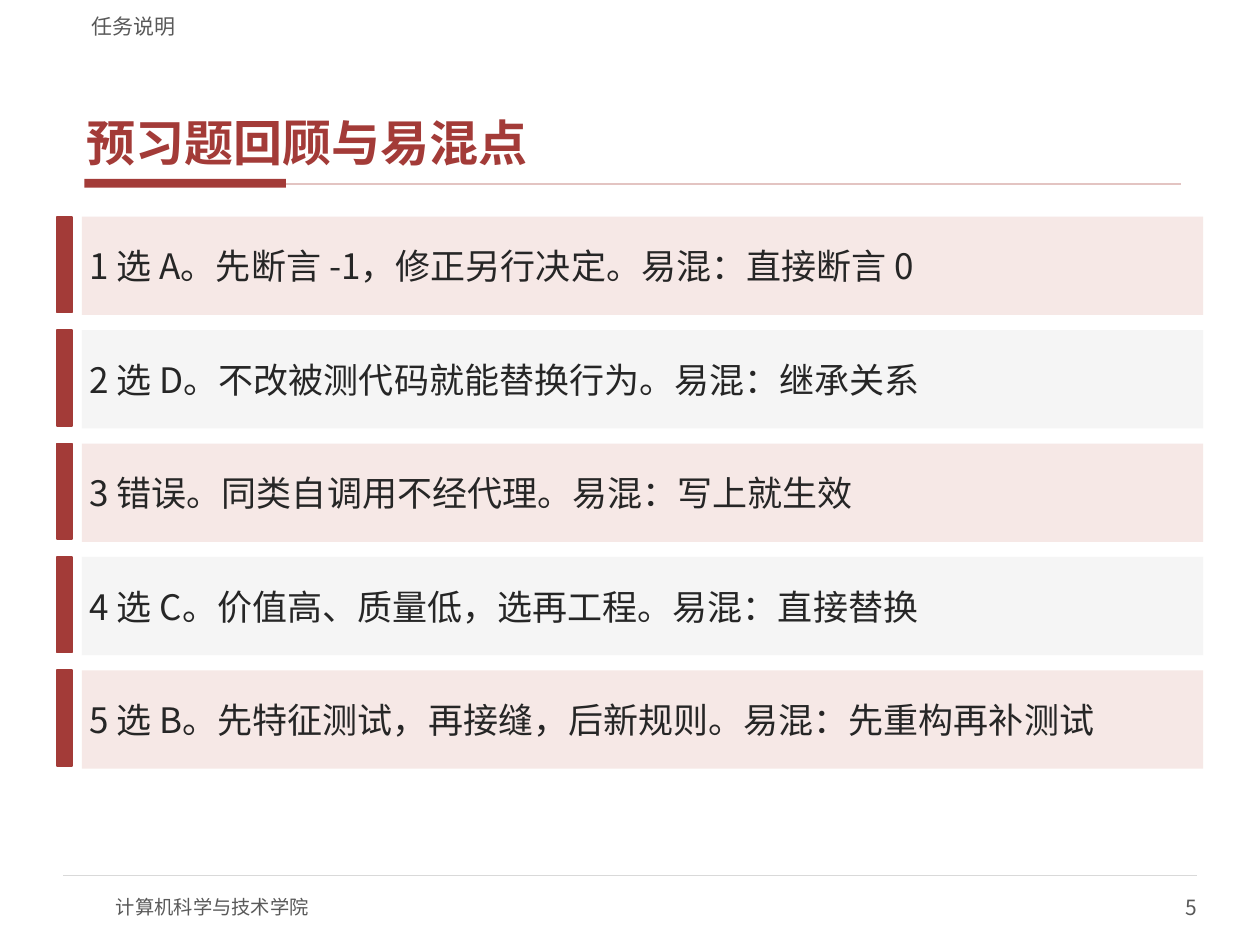
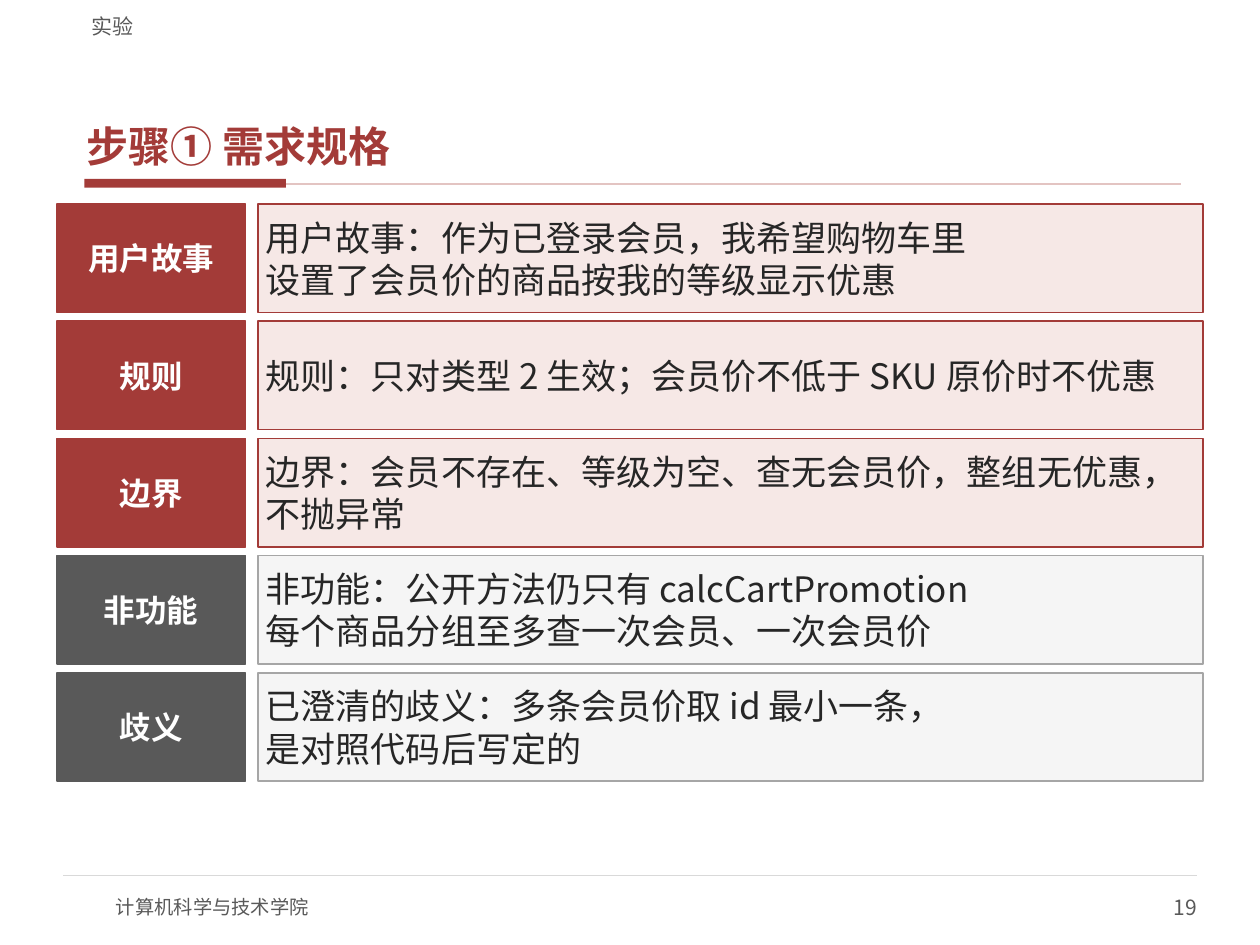
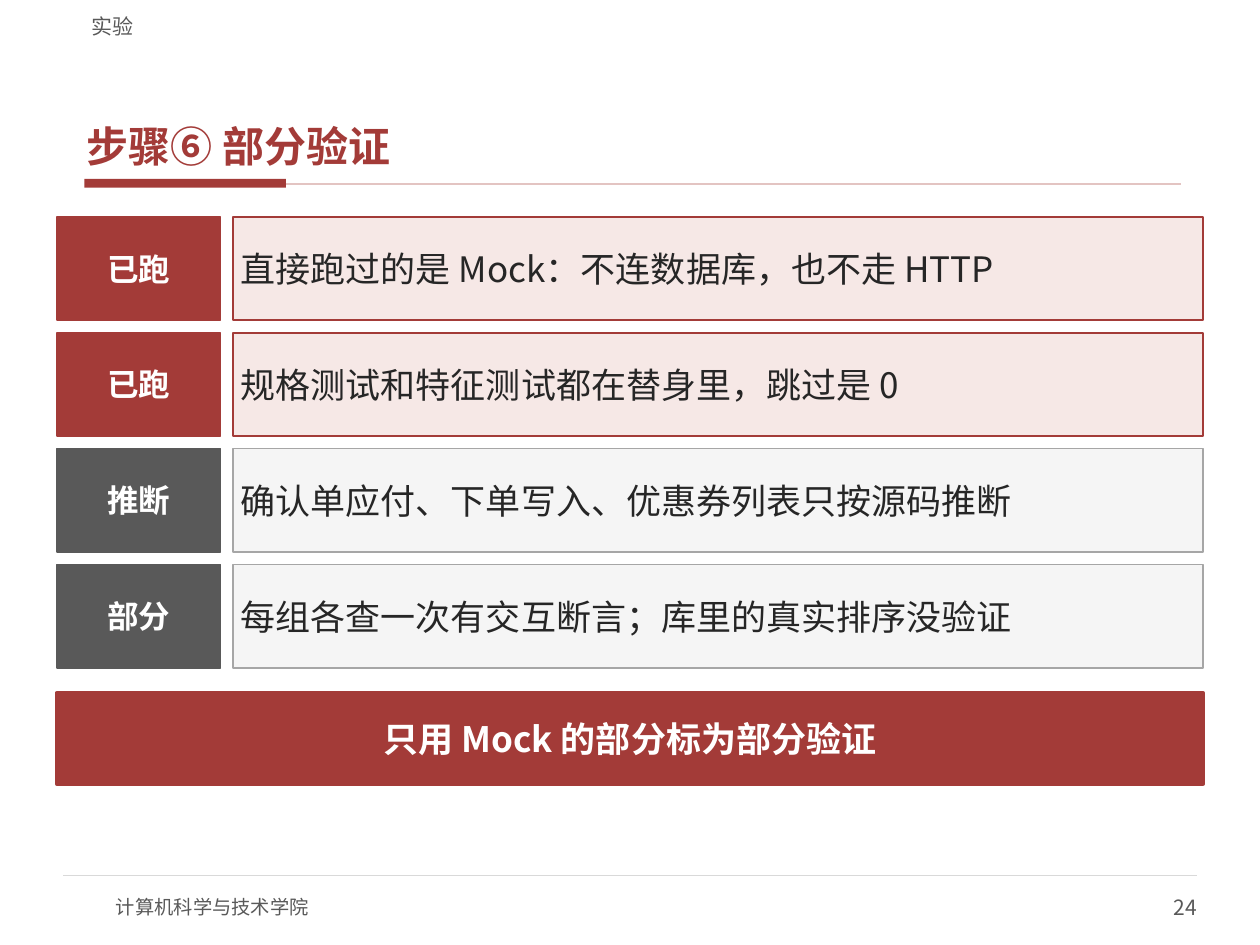
from lxml.etree import SubElement
from pptx import Presentation
from pptx.dml.color import RGBColor
from pptx.enum.shapes import MSO_CONNECTOR as Link, MSO_SHAPE as Shape
from pptx.enum.text import MSO_ANCHOR as Anchor, MSO_AUTO_SIZE as Auto, PP_ALIGN as Align
from pptx.oxml.ns import qn
from pptx.util import Inches, Pt

FACE = "Noto Sans CJK SC"
RED, ROSE, PINK = "A33B38", "F6E8E6", "E3C4C2"
GRAY, PALE, EDGE, RULE = "595959", "F5F5F5", "A6A6A6", "D9D9D9"
INK, WHITE = "262626", "FFFFFF"

WIDE, TALL = 10, 7.5
LEFT, RIGHT = 0.45, 9.55
HEAD_X, HEAD_W = 0.63, 8.75
GAP = 0.1
BODY_PAD, TAG_PAD = (0.06, 0.03), (0.08, 0.04)
# label fill, body fill, body edge
HOT, COOL = (RED, ROSE, RED), (GRAY, PALE, EDGE)


def tone(code):
    return RGBColor.from_string(code)


def write(shape, text, size, color, bold=False, align=Align.LEFT,
          anchor=Anchor.MIDDLE, pad=(0, 0)):
    """Fill a shape with text: \\n starts a paragraph, \\v breaks a line."""
    frame = shape.text_frame
    frame.word_wrap = True
    frame.auto_size = Auto.NONE
    frame.vertical_anchor = anchor
    frame.margin_left = frame.margin_right = Inches(pad[0])
    frame.margin_top = frame.margin_bottom = Inches(pad[1])
    frame.text = text
    for para in frame.paragraphs:
        para.alignment = align
        font = para.font
        font.name, font.size, font.bold = FACE, Pt(size), bold
        font.color.rgb = tone(color)
        props = para._p.pPr.find(qn("a:defRPr"))
        SubElement(props, qn("a:ea"), typeface=FACE)


def block(slide, x, y, w, h, fill, edge=None, weight=1):
    shape = slide.shapes.add_shape(Shape.RECTANGLE, *map(Inches, (x, y, w, h)))
    shape.shadow.inherit = False
    shape.fill.solid()
    shape.fill.fore_color.rgb = tone(fill)
    if edge:
        shape.line.color.rgb = tone(edge)
        shape.line.width = Pt(weight)
    else:
        shape.line.fill.background()
    return shape


def label(slide, x, y, w, h, text, size, **style):
    box = slide.shapes.add_textbox(*map(Inches, (x, y, w, h)))
    write(box, text, size, GRAY, **style)


def rule(slide, x, y, end, color, weight):
    line = slide.shapes.add_connector(Link.STRAIGHT, *map(Inches, (x, y, end, y)))
    line.line.color.rgb = tone(color)
    line.line.width = Pt(weight)
    SubElement(line._element.spPr, qn("a:effectLst"))


def page(deck, part, title, number, size=24):
    """Add a slide with its section name, title, title rule and footer."""
    slide = deck.slides.add_slide(deck.slide_layouts[5])
    block(slide, 0.67, 1.42, 1.6, 0.07, RED)
    rule(slide, 2.27, 1.46, 9.37, PINK, 1)
    rule(slide, 0.05 * WIDE, 6.95, 0.95 * WIDE, RULE, 0.75)
    label(slide, 0.92, 7, 4, 0.4, "计算机科学与技术学院", 11)
    label(slide, 7.5, 7, 2, 0.4, str(number), 12, align=Align.RIGHT)
    label(slide, HEAD_X, 0.04, HEAD_W, 0.27, part, 12,
          anchor=Anchor.BOTTOM, pad=(0.1, 0))

    head = slide.shapes.title
    head.left, head.top = Inches(HEAD_X), Inches(0.33)
    head.width, head.height = Inches(HEAD_W), Inches(1.05)
    write(head, title, size, RED, bold=True, anchor=Anchor.BOTTOM, pad=(0.06, 0.02))
    head.text_frame.paragraphs[0].space_after = Pt(2)
    return slide


def body(slide, x, y, h, text, fill, edge=None):
    shape = block(slide, x, y, RIGHT - x, h, fill, edge)
    write(shape, text, 20, INK, pad=BODY_PAD)


def tag(slide, y, w, h, text, fill, size=18, weight=1):
    shape = block(slide, LEFT, y, w, h, fill, fill, weight)
    write(shape, text, size, WHITE, bold=True, align=Align.CENTER, pad=TAG_PAD)


def stripes(slide, top, step, texts):
    """Stack full-width bands of alternating fill, each with a red bar."""
    for i, text in enumerate(texts):
        y = top + i * step
        block(slide, LEFT, y, 0.12, 0.76, RED, RED)
        body(slide, LEFT + 0.2, y, 0.78, text, (ROSE, PALE)[i % 2])


def pairs(slide, top, step, w, h, rows):
    """Stack rows of a coloured label beside its framed text."""
    for i, (name, text, (dark, light, edge)) in enumerate(rows):
        y = top + i * step
        tag(slide, y, w, h, name, dark)
        body(slide, LEFT + w + GAP, y, h, text, light, edge)


def main():
    deck = Presentation()
    deck.slide_width, deck.slide_height = Inches(WIDE), Inches(TALL)

    review = page(deck, "任务说明", "预习题回顾与易混点", 5, size=28)
    stripes(review, 1.72, 0.9, [
        "1 选 A。先断言 -1，修正另行决定。易混：直接断言 0",
        "2 选 D。不改被测代码就能替换行为。易混：继承关系",
        "3 错误。同类自调用不经代理。易混：写上就生效",
        "4 选 C。价值高、质量低，选再工程。易混：直接替换",
        "5 选 B。先特征测试，再接缝，后新规则。易混：先重构再补测试",
    ])

    needs = page(deck, "实验", "步骤① 需求规格", 19)
    pairs(needs, 1.62, 0.93, 1.5, 0.86, [
        ("用户故事", "用户故事：作为已登录会员，我希望购物车里\n"
                 "设置了会员价的商品按我的等级显示优惠", HOT),
        ("规则", "规则：只对类型 2 生效；会员价不低于 SKU 原价时不优惠", HOT),
        ("边界", "边界：会员不存在、等级为空、查无会员价，整组无优惠，不抛异常", HOT),
        ("非功能", "非功能：公开方法仍只有 calcCartPromotion\n"
                "每个商品分组至多查一次会员、一次会员价", COOL),
        ("歧义", "已澄清的歧义：多条会员价取 id 最小一条，\v是对照代码后写定的", COOL),
    ])

    check = page(deck, "实验", "步骤⑥ 部分验证", 24)
    pairs(check, 1.72, 0.92, 1.3, 0.82, [
        ("已跑", "直接跑过的是 Mock：不连数据库，也不走 HTTP", HOT),
        ("已跑", "规格测试和特征测试都在替身里，跳过是 0", HOT),
        ("推断", "确认单应付、下单写入、优惠券列表只按源码推断", COOL),
        ("部分", "每组各查一次有交互断言；库里的真实排序没验证", COOL),
    ])
    tag(check, 5.5, RIGHT - LEFT, 0.72, "只用 Mock 的部分标为部分验证", RED,
        size=20, weight=2.25)

    deck.save("out.pptx")


if __name__ == "__main__":
    main()
